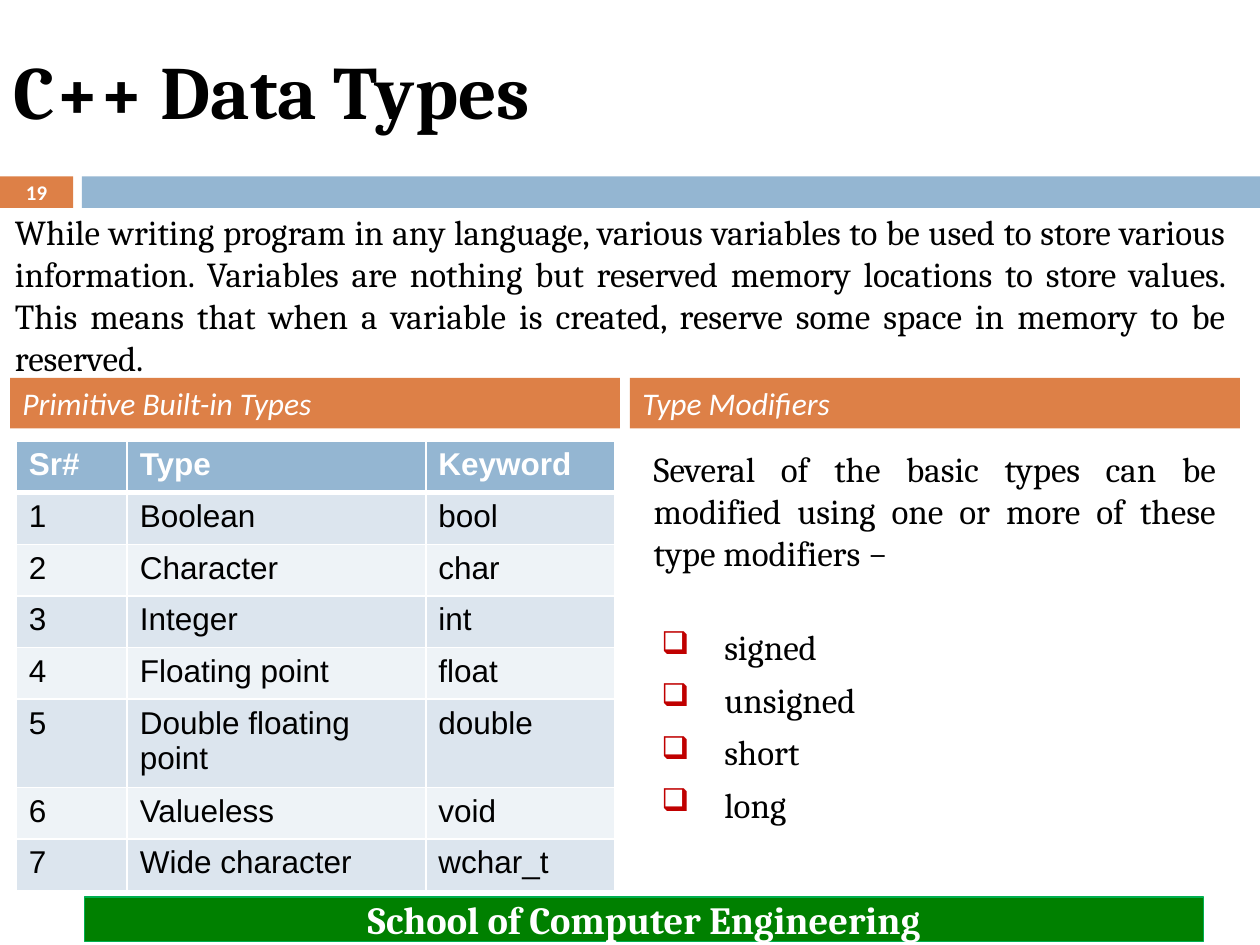
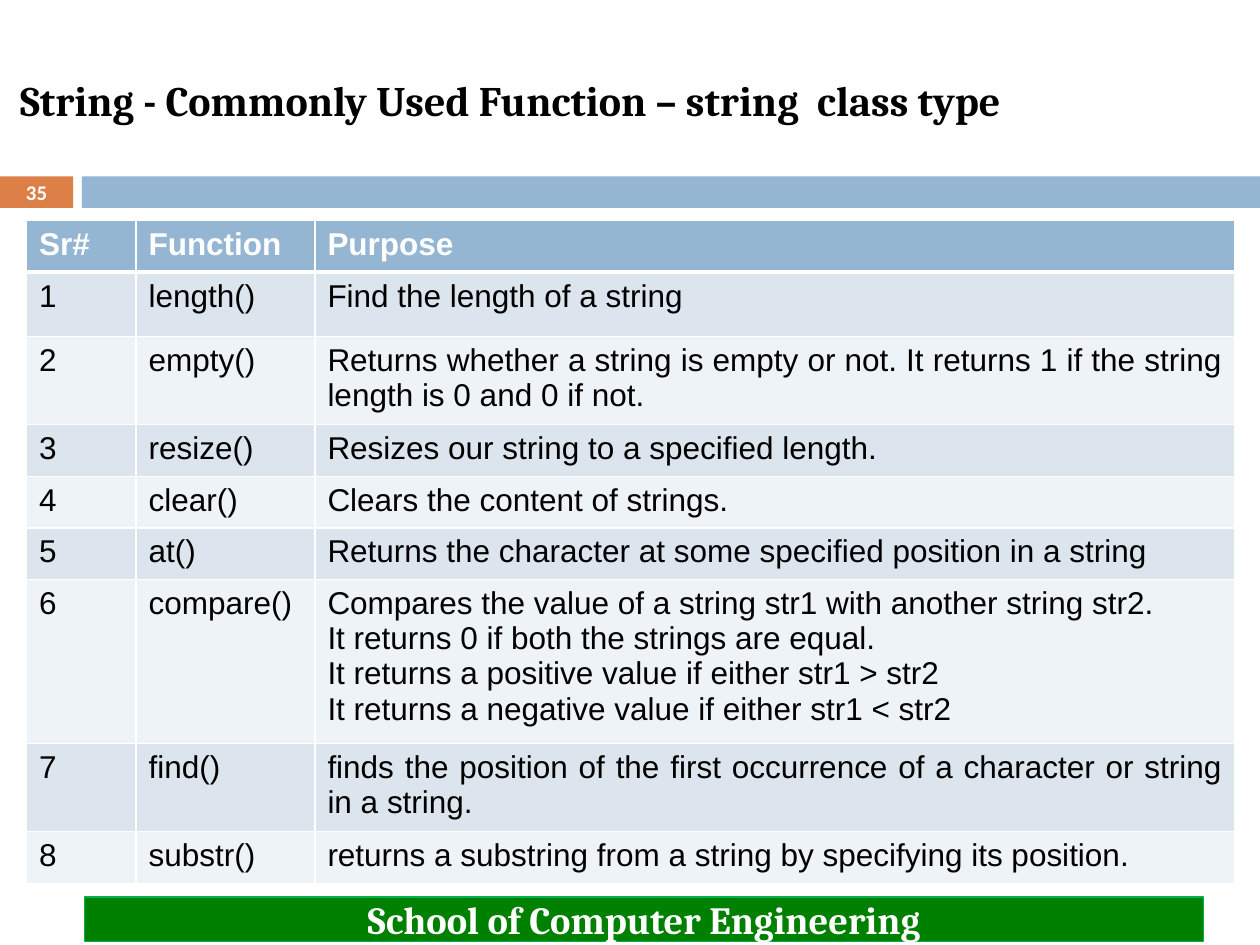
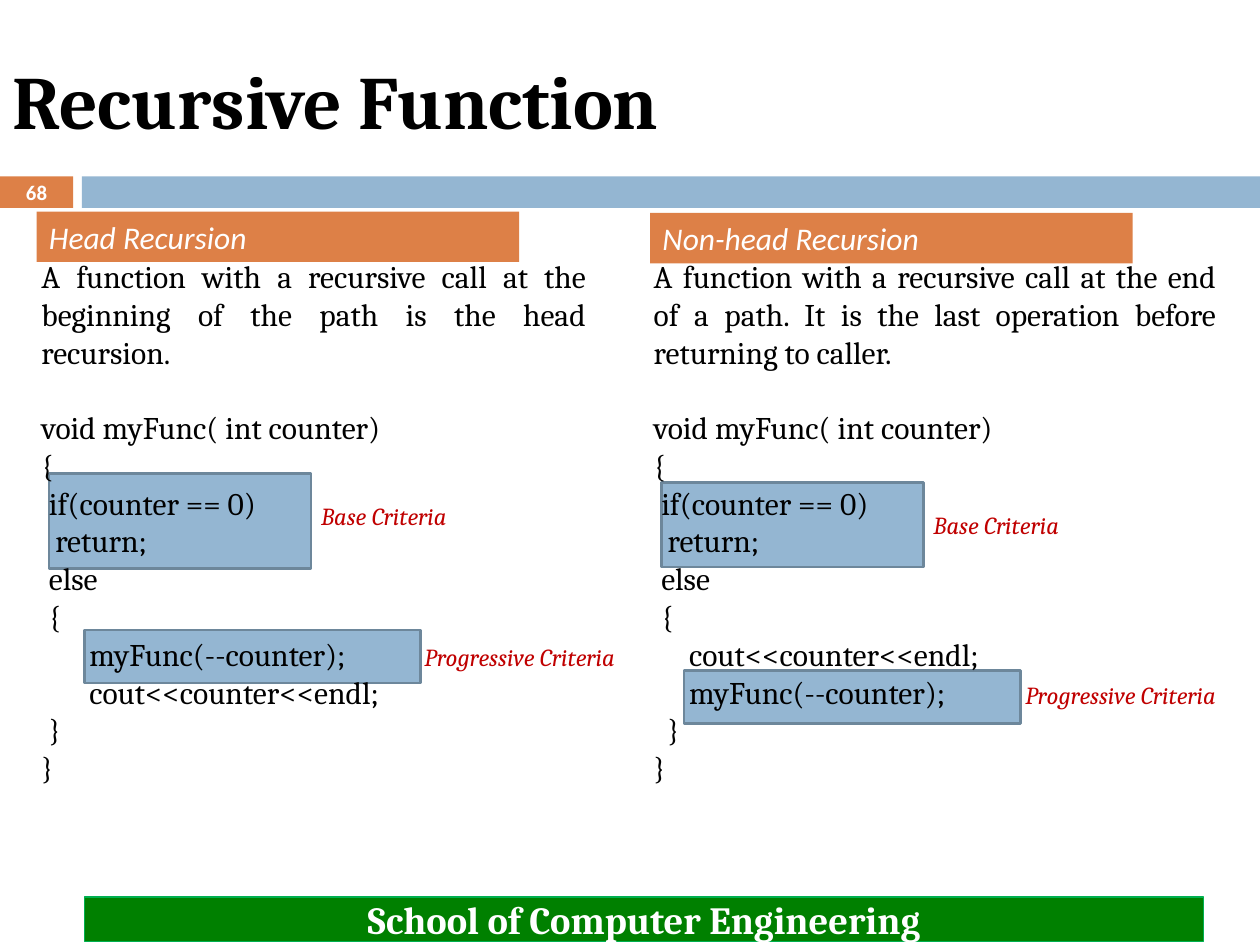
from lxml import etree
from pptx import Presentation
from pptx import util as u
from pptx.dml.color import RGBColor
from pptx.enum import shapes, text
from pptx.oxml.ns import qn

PX = 9144
BLUE, ORANGE, GREEN = "94B6D2", "DD8047", "008000"
WHITE, BLACK, RED = "FFFFFF", "000000", "C00000"
BAND_FILLS = ("DCE5EE", "EEF3F7")
LEFT, CENTER, JUSTIFY = text.PP_ALIGN.LEFT, text.PP_ALIGN.CENTER, text.PP_ALIGN.JUSTIFY

TITLE_STYLE = dict(size=43, bold=True)
BODY_STYLE = dict(size=20, align=JUSTIFY)
CODE_STYLE = dict(size=18, align=JUSTIFY)
LABEL_STYLE = dict(size=18, font="Calibri", color=WHITE, italic=True)
NOTE_STYLE = dict(size=14, color=RED, italic=True)
NUMBER_STYLE = dict(size=11.9, font="Calibri", color=WHITE, bold=True, align=CENTER)
FOOTER_STYLE = dict(size=22, color=WHITE, bold=True, align=CENTER)
FOOTER = "School of Computer Engineering"

INTRODUCTION = (
    "While writing program in any language, various variables to be used to store various "
    "information. Variables are nothing but reserved memory locations to store values. This means "
    "that when a variable is created, reserve some space in memory to be reserved."
)
TYPE_LABELS = [("Primitive Built-in Types", 8), ("Type Modifiers", 500)]
TYPE_ROWS = [
    ("Sr#", "Type", "Keyword"),
    ("1", "Boolean", "bool"),
    ("2", "Character", "char"),
    ("3", "Integer", "int"),
    ("4", "Floating point", "float"),
    ("5", "Double floating point", "double"),
    ("6", "Valueless", "void"),
    ("7", "Wide character", "wchar_t"),
]
MODIFIER_INTRODUCTION = (
    "Several of the basic types can be modified using one or more of these type modifiers −"
)
MODIFIERS = ["signed", "unsigned", "short", "long"]

FUNCTION_ROWS = [
    ("Sr#", "Function", "Purpose"),
    ("1", "length()", "Find the length of a string"),
    ("2", "empty()", "Returns whether a string is empty or not. It returns 1 if the string "
                     "length is 0 and 0 if not."),
    ("3", "resize()", "Resizes our string to a specified length."),
    ("4", "clear()", "Clears the content of strings."),
    ("5", "at()", "Returns the character at some specified position in a string"),
    ("6", "compare()", "Compares the value of a string str1 with another string str2.\n"
                       "It returns 0 if both the strings are equal.\n"
                       "It returns a positive value if either str1 > str2\n"
                       "It returns a negative value if either str1 < str2"),
    ("7", "find()", "finds the position of the first occurrence of a character or string "
                    "in a string."),
    ("8", "substr()", "returns a substring from a string by specifying its position."),
]

CODE_START = [(0, "void myFunc( int counter)"), (0, "{"), (1, "if(counter == 0)"),
              (2, "return;"), (1, "else"), (1, "{")]
RECURSIONS = [
    dict(
        label="Head Recursion", label_box=(29, 168, 383, 40),
        definition="A function with a recursive call at the beginning of the path is the head "
                   "recursion.",
        code=CODE_START + [(7, "myFunc(--counter);"), (7, "cout<<counter<<endl;"),
                           (1, "}"), (0, "}")],
        code_box=(17, 199, 458, 434),
        highlights=[(67, 500, 267, 42), (39, 376, 208, 75)],
        notes=[("Base Criteria", (245, 393, 126, 34)),
               ("Progressive Criteria", (327, 505, 208, 34))],
    ),
    dict(
        label="Non-head Recursion", label_box=(516, 169, 383, 40),
        definition="A function with a recursive call at the end of a path. It is the last "
                   "operation before returning to caller.",
        code=CODE_START + [(5, "cout<<counter<<endl;"), (5, "myFunc(--counter);"),
                           (2, "}"), (0, "}")],
        code_box=(503, 199, 472, 434),
        highlights=[(543, 532, 267, 42), (525, 383, 208, 67)],
        notes=[("Base Criteria", (731, 400, 126, 34)),
               ("Progressive Criteria", (804, 535, 196, 34))],
    ),
]


def rgb(value):
    return RGBColor.from_string(value)


def emu(box):
    return [length * PX for length in box]


def write(frame, lines, size, font="Cambria", color=BLACK, bold=False, italic=False, align=LEFT):
    for index, line in enumerate(lines):
        paragraph = frame.paragraphs[0] if index == 0 else frame.add_paragraph()
        paragraph.alignment = align
        run = paragraph.add_run()
        run.text = line
        run.font.size = u.Pt(size)
        run.font.name = font
        run.font.bold = bold
        run.font.italic = italic
        run.font.color.rgb = rgb(color)
    return frame.paragraphs


def add_rectangle(slide, box, fill, line=None, line_width=1.5):
    shape = slide.shapes.add_shape(shapes.MSO_SHAPE.RECTANGLE, *emu(box))
    shape.shadow.inherit = False
    shape.fill.solid()
    shape.fill.fore_color.rgb = rgb(fill)
    if line:
        shape.line.color.rgb = rgb(line)
        shape.line.width = u.Pt(line_width)
    else:
        shape.line.fill.background()
    return shape


def add_text(slide, box, lines, style, anchor=text.MSO_ANCHOR.TOP):
    frame = slide.shapes.add_textbox(*emu(box)).text_frame
    frame.word_wrap = True
    frame.vertical_anchor = anchor
    return write(frame, lines, **style)


def add_label(slide, box, label):
    frame = add_rectangle(slide, box, ORANGE).text_frame
    frame.vertical_anchor = text.MSO_ANCHOR.TOP
    write(frame, [label], **LABEL_STYLE)


def indent(paragraph, margin, first_line=0):
    properties = paragraph._p.get_or_add_pPr()
    properties.set("marL", str(margin * PX))
    properties.set("indent", str(first_line * PX))
    return properties


def add_bullet(paragraph):
    properties = indent(paragraph, 56, -50)
    color = etree.SubElement(properties, qn("a:buClr"))
    etree.SubElement(color, qn("a:srgbClr"), val=RED)
    etree.SubElement(properties, qn("a:buSzPct"), val="90000")
    etree.SubElement(properties, qn("a:buChar"), char="❑")


def add_borders(cell, row_index):
    properties = cell._tc.get_or_add_tcPr()
    thick_side = {0: "lnB", 1: "lnT"}.get(row_index)
    for side in ("lnL", "lnR", "lnT", "lnB"):
        width = u.Pt(3 if side == thick_side else 1)
        line = etree.SubElement(properties, qn("a:" + side), w=str(width))
        fill = etree.SubElement(line, qn("a:solidFill"))
        etree.SubElement(fill, qn("a:srgbClr"), val=WHITE)


def add_table(slide, left, top, widths, heights, rows, last_align=LEFT):
    box = (left, top, sum(widths), sum(heights))
    table = slide.shapes.add_table(len(rows), len(widths), *emu(box)).table
    for column, width in zip(table.columns, widths):
        column.width = width * PX
    for row_index, (row, height) in enumerate(zip(rows, heights)):
        table.rows[row_index].height = height * PX
        header = row_index == 0
        for column_index, content in enumerate(row):
            cell = table.cell(row_index, column_index)
            add_borders(cell, row_index)
            cell.fill.solid()
            cell.fill.fore_color.rgb = rgb(BLUE if header else BAND_FILLS[(row_index - 1) % 2])
            last = column_index == len(row) - 1
            write(cell.text_frame, content.split("\n"), 18, "Arial",
                  WHITE if header else BLACK, bold=header,
                  align=last_align if last and not header else LEFT)


def start_slide(presentation, title, title_box, number, title_size=43):
    slide = presentation.slides.add_slide(presentation.slide_layouts[5])
    add_rectangle(slide, (0, 140, 58, 25), ORANGE)
    add_rectangle(slide, (65, 140, 935, 25), BLUE)
    placeholder = slide.shapes.title
    placeholder.left, placeholder.top, placeholder.width, placeholder.height = emu(title_box)
    frame = placeholder.text_frame
    frame.auto_size = text.MSO_AUTO_SIZE.NONE
    frame.vertical_anchor = text.MSO_ANCHOR.MIDDLE
    write(frame, [title], **{**TITLE_STYLE, "size": title_size})
    add_text(slide, (0, 139, 58, 27), [number], NUMBER_STYLE, text.MSO_ANCHOR.MIDDLE)
    footer = add_rectangle(slide, (67, 712, 888, 35), GREEN, "00B050", 0.75)
    write(footer.text_frame, [FOOTER], **FOOTER_STYLE)
    return slide


def build_data_types(presentation):
    slide = start_slide(presentation, "C++ Data Types", (1, 17, 967, 108), "19")
    add_text(slide, (2, 162, 981, 145), [INTRODUCTION], BODY_STYLE)
    for label, left in TYPE_LABELS:
        add_label(slide, (left, 300, 484, 40), label)
    add_table(slide, 13, 350, (88, 237, 150), [41] * len(TYPE_ROWS), TYPE_ROWS)
    paragraphs = add_text(slide, (509, 350, 466, 313),
                          [MODIFIER_INTRODUCTION] + MODIFIERS, BODY_STYLE)
    for index, paragraph in enumerate(paragraphs[1:]):
        paragraph.space_before = u.Pt(30 if index == 0 else 6)
        add_bullet(paragraph)


def build_string_functions(presentation):
    slide = start_slide(presentation, "String - Commonly Used Function – string  class type",
                        (6, 25, 892, 108), "35", 24)
    heights = [41, 51] + [41] * (len(FUNCTION_ROWS) - 2)
    add_table(slide, 21, 175, (87, 142, 730), heights, FUNCTION_ROWS, JUSTIFY)


def build_recursion(presentation):
    slide = start_slide(presentation, "Recursive Function", (0, 25, 892, 108), "68")
    for recursion in RECURSIONS:
        for box in recursion["highlights"]:
            add_rectangle(slide, box, BLUE, "6D879B")
        lines = [(0, recursion["definition"])] + recursion["code"]
        paragraphs = add_text(slide, recursion["code_box"], [line for _, line in lines], CODE_STYLE)
        for paragraph, (depth, _) in zip(paragraphs, lines):
            indent(paragraph, 6 + round(5.5 * depth))
        paragraphs[1].space_before = u.Pt(21.5)
        add_label(slide, recursion["label_box"], recursion["label"])
        for note, box in recursion["notes"]:
            add_text(slide, box, [note], NOTE_STYLE)


def main():
    presentation = Presentation()
    presentation.slide_width, presentation.slide_height = emu((1000, 750))
    build_data_types(presentation)
    build_string_functions(presentation)
    build_recursion(presentation)
    presentation.save("out.pptx")


if __name__ == "__main__":
    main()
